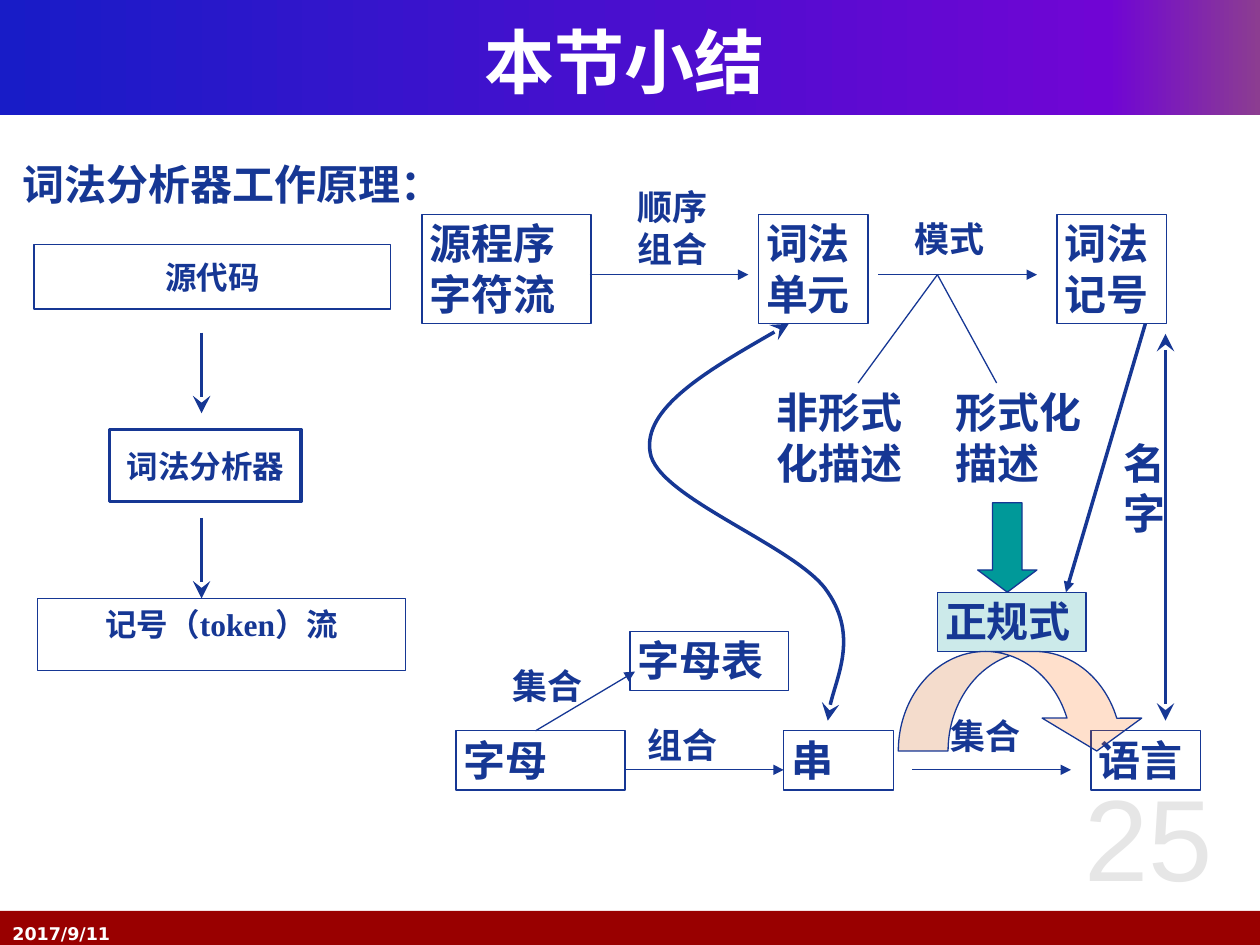
from copy import deepcopy

from lxml import etree
from pptx import Presentation
from pptx.dml.color import RGBColor
from pptx.enum.shapes import MSO_CONNECTOR as Link, MSO_SHAPE as Shape
from pptx.enum.text import MSO_ANCHOR as Anchor, PP_ALIGN as Align
from pptx.oxml.ns import qn
from pptx.util import Inches, Pt

NAVY = "163794"
TEAL = "009999"
WHITE = "FFFFFF"
CJK = "Noto Sans CJK SC"
TIMES = "Times New Roman"
TIGHT = {"margin_left": 0.06, "margin_right": 0.06, "margin_top": 0.03, "margin_bottom": 0.03}
HEAD_SIZES = {"stealth": "lg", "triangle": "med"}

CONCEPTS = [
    ("源程序字符流", 3.35, 1.7, 1.34, 0.87),
    ("词法单元", 6.02, 1.7, 0.87, 0.87),
    ("词法记号", 8.39, 1.7, 0.87, 0.87),
    ("字母表", 5, 5.01, 1.26, 0.47),
    ("字母", 3.62, 5.8, 1.34, 0.47),
    ("串", 6.22, 5.8, 0.87, 0.47),
    ("语言", 8.66, 5.8, 0.87, 0.47),
]
LABELS = [
    ("顺序组合", 5, 1.44, 0.79, 0.74, 20),
    ("模式", 7.2, 1.7, 0.79, 0.4, 20),
    ("组合", 5.08, 5.71, 0.79, 0.4, 20),
    ("集合", 7.48, 5.64, 0.79, 0.4, 20),
    ("集合", 4.01, 5.24, 0.79, 0.4, 20),
    ("非形式化描述", 6.1, 3.04, 1.18, 0.87, 24),
    ("形式化描述", 7.52, 3.04, 1.18, 0.87, 24),
    ("名字", 8.86, 3.44, 0.35, 0.87, 24),
]
THIN_ARROWS = [
    (4.68, 2.18, 5.94, 2.18),
    (6.97, 2.18, 8.23, 2.18),
    (4.96, 6.11, 6.22, 6.11),
    (7.24, 6.11, 8.5, 6.11),
    (4.25, 5.8, 5.04, 5.33),
]
BRANCHES = [(7.44, 2.18, 6.81, 3.04), (7.44, 2.18, 7.91, 3.04)]
CURVE = [
    (6.26, 2.57),
    (5.68, 2.9), (5.1, 3.24), (5.16, 3.59),
    (5.21, 3.95), (6.34, 4.34), (6.57, 4.7),
    (6.81, 5.05), (6.57, 5.54), (6.57, 5.72),
]


def color(value):
    """Turn a hex string into a colour."""
    return RGBColor.from_string(value)


def write(shape, text, size=24, font=CJK, ink=NAVY, bold=True, align=Align.LEFT,
          anchor=Anchor.TOP, margins=TIGHT, wrap=True):
    """Put one formatted paragraph into a shape."""
    frame = shape.text_frame
    frame.word_wrap = wrap
    frame.vertical_anchor = anchor
    for side, inches in margins.items():
        setattr(frame, side, Inches(inches))
    para = frame.paragraphs[0]
    para.alignment = align
    span = para.add_run()
    span.text = text
    for name, value in {"size": Pt(size), "bold": bold, "name": font}.items():
        setattr(span.font, name, value)
    span.font.color.rgb = color(ink)
    etree.SubElement(span.font._element, qn("a:ea"), typeface=CJK)


def add_label(slide, text, left, top, width, height, size=24, **style):
    """Add a text box."""
    box = slide.shapes.add_textbox(*map(Inches, (left, top, width, height)))
    write(box, text, size, **style)


def add_block(slide, bounds, kind=Shape.RECTANGLE, fill=None, line=NAVY, width=0.75, opacity=None):
    """Add a preset shape with an optional fill and outline."""
    shape = slide.shapes.add_shape(kind, *map(Inches, bounds))
    shape.shadow.inherit = False
    if fill:
        shape.fill.solid()
        shape.fill.fore_color.rgb = color(fill)
    else:
        shape.fill.background()
    if opacity:
        tint = shape._element.spPr.find(f"{qn('a:solidFill')}/{qn('a:srgbClr')}")
        etree.SubElement(tint, qn("a:alpha"), val=str(opacity * 1000))
    if line:
        shape.line.color.rgb = color(line)
        shape.line.width = Pt(width)
    else:
        shape.line.fill.background()
    return shape


def style_line(shape, width, head=None, tail=None):
    """Set the stroke and arrowheads of a line."""
    shape.line.color.rgb = color(NAVY)
    shape.line.width = Pt(width)
    stroke = shape.line._get_or_add_ln()
    for tag, kind in (("a:headEnd", head), ("a:tailEnd", tail)):
        if kind:
            size = HEAD_SIZES[kind]
            etree.SubElement(stroke, qn(tag), type=kind, w=size, len=size)


def add_line(slide, ends, width=0.75, head=None, tail=None):
    """Add a straight connector."""
    line = slide.shapes.add_connector(Link.STRAIGHT, *map(Inches, ends))
    style_line(line, width, head, tail)
    etree.SubElement(line._element.spPr, qn("a:effectLst"))


def add_curve(slide, points, width, head, tail):
    """Add an open curve from a start point and Bezier triples."""
    start, *controls = [tuple(map(Inches, point)) for point in points]
    builder = slide.shapes.build_freeform(*start)
    builder.add_line_segments(controls, close=False)
    curve = builder.convert_to_shape()
    curve.shadow.inherit = False
    curve.fill.background()
    style_line(curve, width, head, tail)
    outline = next(curve._element.iter(qn("a:path")))
    segments = outline.findall(qn("a:lnTo"))
    for first in range(0, len(segments), 3):
        bezier = etree.SubElement(outline, qn("a:cubicBezTo"))
        for segment in segments[first:first + 3]:
            bezier.append(segment[0])
            outline.remove(segment)


def add_banner(slide):
    """Add the gradient title band."""
    band = add_block(slide, (0, 0, 10, 0.91), line=None)
    band.fill.gradient()
    band.fill.gradient_angle = 0
    stop_list = next(band._element.iter(qn("a:gsLst")))
    stop_list.append(deepcopy(stop_list[-1]))
    stops = ((0, "181CC7"), (0.88, "7005D4"), (1, "8C3D91"))
    for stop, (position, tint) in zip(band.fill.gradient_stops, stops):
        stop.position = position
        stop.color.rgb = color(tint)
    add_label(slide, "本节小结", 0.33, 0.17, 9.25, 0.62, 40, ink=WHITE,
              align=Align.CENTER, anchor=Anchor.MIDDLE)


def add_footer(slide):
    """Add the bottom band, date and page number."""
    add_block(slide, (0, 7.23, 10, 0.27), fill="990000", line=None)
    add_label(slide, "25", 8.23, 6.03, 1.77, 1.42, 66, font="Arial", ink="E6E6E6",
              bold=False, align=Align.CENTER, margins={})
    add_label(slide, "2017/9/11", 0, 7.28, 9.25, 0.25, 10, font="DejaVu Sans",
              ink=WHITE, margins={})


def add_analyzer_flow(slide):
    """Add the flow from source code to tokens."""
    add_label(slide, "词法分析器工作原理：", 0.12, 1.23, 3.58, 0.47, font="Karla")
    steps = [
        ("源代码", (0.27, 1.94, 2.83, 0.51), 1, TIMES, Anchor.MIDDLE),
        ("词法分析器", (0.87, 3.41, 1.52, 0.57), 2, CJK, Anchor.MIDDLE),
        ("记号（token）流", (0.3, 4.75, 2.92, 0.57), 0.75, TIMES, Anchor.TOP),
    ]
    for text, bounds, width, font, anchor in steps:
        step = add_block(slide, bounds, fill=WHITE, width=width)
        write(step, text, 18, font, align=Align.CENTER, anchor=anchor, margins={}, wrap=False)
    for top in (2.64, 4.11):
        add_line(slide, (1.6, top, 1.6, top + 0.64), 2, tail="stealth")


def add_concept_map(slide):
    """Add the map of concepts and their relations."""
    for text, *bounds in CONCEPTS:
        write(add_block(slide, bounds), text)
    add_block(slide, (7.76, 3.99, 0.47, 0.71), Shape.DOWN_ARROW, TEAL).adjustments[1] = 0.375
    write(add_block(slide, (7.44, 4.7, 1.18, 0.47), fill=TEAL, opacity=20), "正规式")
    arc = add_block(slide, (7.13, 5.17, 1.97, 0.79), Shape.CURVED_DOWN_ARROW, "FF6600", opacity=20)
    for index, value in enumerate((0.5, 1, 0.33)):
        arc.adjustments[index] = value
    for label in LABELS:
        add_label(slide, *label)
    for ends in THIN_ARROWS:
        add_line(slide, ends, tail="triangle")
    for ends in BRANCHES:
        add_line(slide, ends)
    add_line(slide, (9.09, 2.57, 8.46, 4.7), 2, tail="triangle")
    add_line(slide, (9.25, 2.65, 9.25, 5.72), 2, "stealth", "stealth")
    add_curve(slide, CURVE, 2, "stealth", "stealth")


def main():
    """Build and save the deck."""
    deck = Presentation()
    deck.slide_width, deck.slide_height = Inches(10), Inches(7.5)
    slide = deck.slides.add_slide(deck.slide_layouts[6])
    add_banner(slide)
    add_footer(slide)
    add_analyzer_flow(slide)
    add_concept_map(slide)
    deck.save("out.pptx")


if __name__ == "__main__":
    main()
